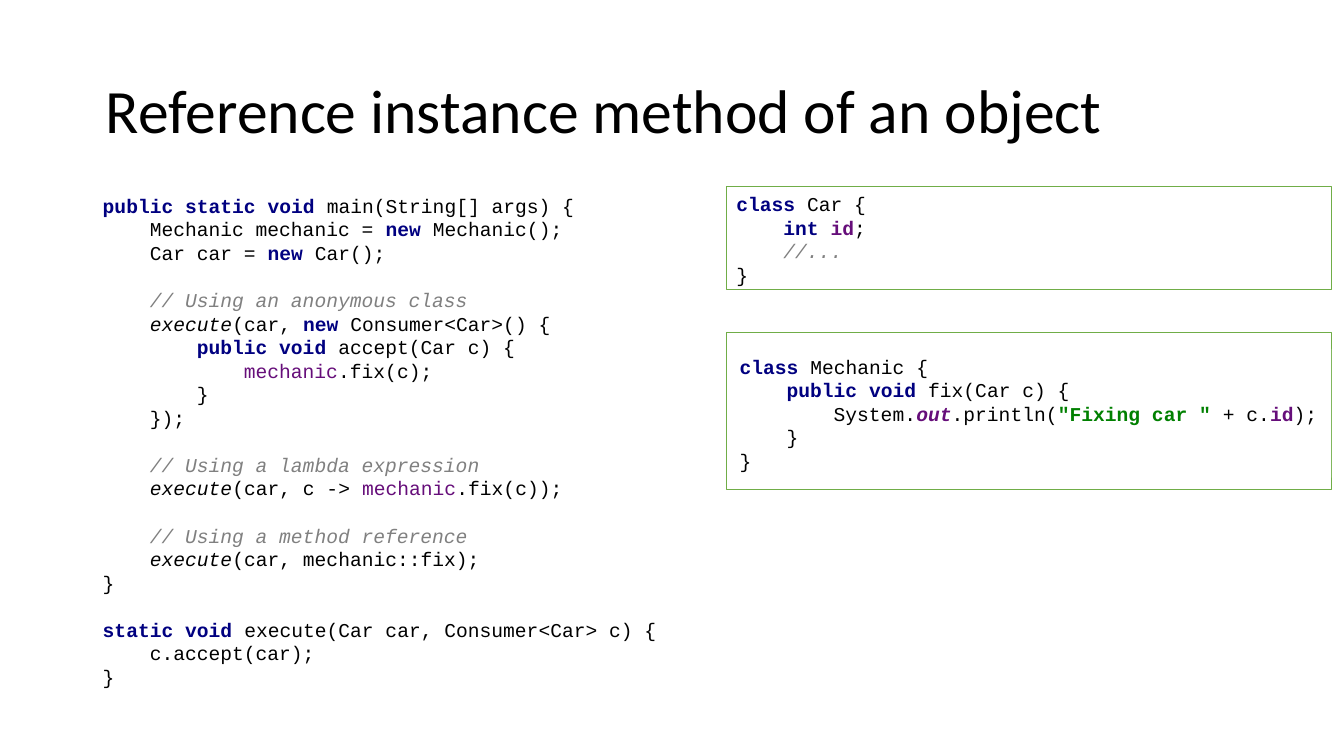
from pptx import Presentation
from pptx import util as u
from pptx.dml.color import RGBColor
from pptx.enum import shapes, text

BLACK = RGBColor(0x00, 0x00, 0x00)
WHITE = RGBColor(0xFF, 0xFF, 0xFF)
GREEN = RGBColor(0x70, 0xAD, 0x47)
NAVY = RGBColor(0x00, 0x00, 0x80)
GREY = RGBColor(0x80, 0x80, 0x80)
PURPLE = RGBColor(0x66, 0x0E, 0x7A)
STRING_GREEN = RGBColor(0x00, 0x80, 0x00)

# token style: colour, bold, italic
PLAIN = (BLACK, False, False)
KEYWORD = (NAVY, True, False)
COMMENT = (GREY, False, True)
CALL = (BLACK, False, True)
VARIABLE = (PURPLE, False, False)
FIELD = (PURPLE, True, False)
STATIC_FIELD = (PURPLE, True, True)
STRING = (STRING_GREEN, True, False)

# A line is (indent level, token, ...); BLANK_LINE is a gap between lines.
BLANK_LINE = None
MAIN_CODE = [
    (0, (KEYWORD, "public static void "), "main(String[] args) {"),
    (1, "Mechanic mechanic = ", (KEYWORD, "new "), "Mechanic();"),
    (1, "Car car = ", (KEYWORD, "new "), "Car();"),
    BLANK_LINE,
    (1, (COMMENT, "// Using an anonymous class")),
    (1, (CALL, "execute"), "(car, ", (KEYWORD, "new "), "Consumer<Car>() {"),
    (2, (KEYWORD, "public void "), "accept(Car c) {"),
    (3, (VARIABLE, "mechanic"), ".fix(c);"),
    (2, "}"),
    (1, "});"),
    BLANK_LINE,
    (1, (COMMENT, "// Using a lambda expression")),
    (1, (CALL, "execute"), "(car, c -> ", (VARIABLE, "mechanic"), ".fix(c));"),
    BLANK_LINE,
    (1, (COMMENT, "// Using a method reference")),
    (1, (CALL, "execute"), "(car, mechanic::fix);"),
    (0, "}"),
    BLANK_LINE,
    (0, (KEYWORD, "static void "), "execute(Car car, Consumer<Car> c) {"),
    (1, "c.accept(car);"),
    (0, "}"),
]
CAR_CODE = [
    (0, (KEYWORD, "class "), "Car {"),
    (1, (KEYWORD, "int "), (FIELD, "id"), ";"),
    (1, (COMMENT, "//...")),
    (0, "}"),
]
MECHANIC_CODE = [
    (0, (KEYWORD, "class "), "Mechanic {"),
    (1, (KEYWORD, "public void "), "fix(Car c) {"),
    (2, "System.", (STATIC_FIELD, "out"), ".println(",
     (STRING, '"Fixing car " '), "+ c.", (FIELD, "id"), ");"),
    (1, "}"),
    (0, "}"),
]


class CodeSlide:
    title_font, title_size = "Calibri", u.Pt(44)
    code_font, code_size = "Courier New", u.Pt(14)
    indent = u.Pt(33.6)  # four characters
    blank_line = u.Pt(16.9)

    def __init__(self, prs):
        self.s = prs.slides.add_slide(prs.slide_layouts[5])

    def title(self, wording, left, top, width, height):
        sp = self.s.shapes.title
        sp.left, sp.top, sp.width, sp.height = map(u.Cm, (left, top, width, height))
        tf = sp.text_frame
        tf.text = wording
        tf.word_wrap = True
        tf.vertical_anchor = text.MSO_ANCHOR.MIDDLE
        tf.margin_left = tf.margin_right = u.Cm(0.33)
        tf.margin_top = tf.margin_bottom = u.Cm(0.33)
        p = tf.paragraphs[0]
        p.alignment = text.PP_ALIGN.LEFT
        p.line_spacing = 0.9
        p.font.name, p.font.size = self.title_font, self.title_size
        p.font.color.rgb = BLACK

    def frame(self, left, top, width, height):
        sp = self.s.shapes.add_shape(
            shapes.MSO_SHAPE.RECTANGLE, *map(u.Cm, (left, top, width, height)))
        sp.shadow.inherit = False
        sp.fill.solid()
        sp.fill.fore_color.rgb = WHITE
        sp.line.color.rgb = GREEN
        sp.line.width = u.Pt(1)

    def code(self, lines, left, top, width, height,
             anchor=text.MSO_ANCHOR.MIDDLE, fill=WHITE, wrap=True):
        sp = self.s.shapes.add_textbox(*map(u.Cm, (left, top, width, height)))
        if fill is not None:
            sp.fill.solid()
            sp.fill.fore_color.rgb = fill
        tf = sp.text_frame
        tf.word_wrap = wrap
        tf.vertical_anchor = anchor
        p, after_blank = tf.paragraphs[0], False
        for i, line in enumerate(lines):
            if line is BLANK_LINE:
                after_blank = True
                continue
            if i:
                p = tf.add_paragraph()
            level, *tokens = line
            p._p.get_or_add_pPr().set("marL", str(level * self.indent))
            p.font.name, p.font.size = self.code_font, self.code_size
            if after_blank:
                p.space_before = self.blank_line
            after_blank = False
            for token in tokens:
                style, wording = (PLAIN, token) if isinstance(token, str) else token
                r = p.add_run()
                r.text = wording
                r.font.color.rgb, r.font.bold, r.font.italic = style


def main():
    prs = Presentation()
    prs.slide_width, prs.slide_height = u.Cm(33.87), u.Cm(19.05)
    slide = CodeSlide(prs)
    slide.title("Reference instance method of an object", 2.34, 1.02, 29.21, 3.68)
    slide.code(MAIN_CODE, 2.34, 4.7, 14.53, 12.83, wrap=False)
    slide.frame(18.31, 4.7, 15.24, 2.59)
    slide.frame(18.31, 8.38, 15.24, 3.96)
    slide.code(MECHANIC_CODE, 18.39, 8.79, 15.16, 3.25)
    slide.code(CAR_CODE, 18.31, 4.72, 15.24, 2.64,
               anchor=text.MSO_ANCHOR.TOP, fill=None)
    prs.save("out.pptx")


if __name__ == "__main__":
    main()
